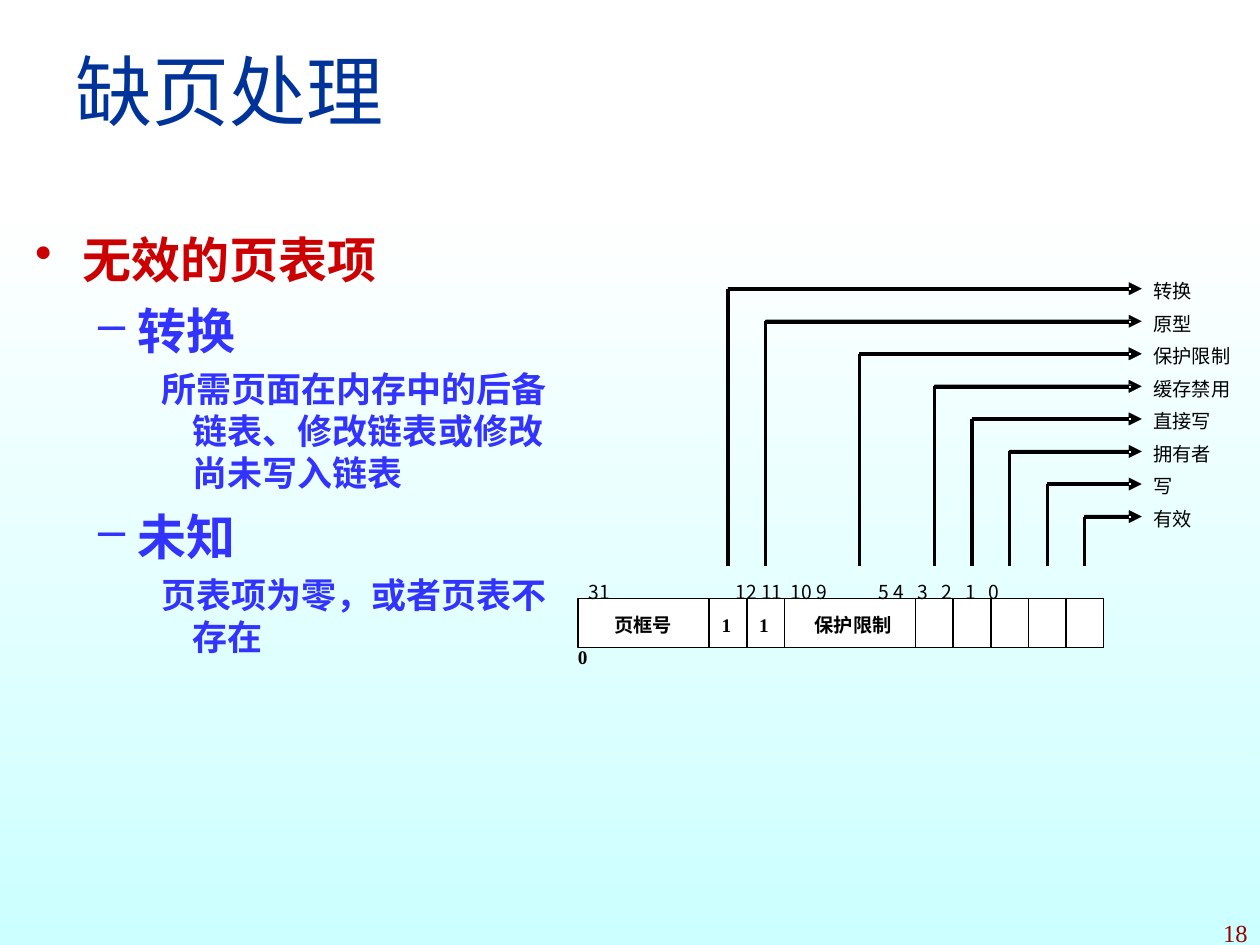
from itertools import accumulate

from lxml.etree import SubElement
from pptx import Presentation
from pptx.dml.color import RGBColor
from pptx.enum.shapes import MSO_CONNECTOR, MSO_SHAPE
from pptx.enum.text import PP_ALIGN
from pptx.oxml.ns import qn
from pptx.util import Pt

THEME = {
    "white": "FFFFFF", "tint": "CCFFFF", "ink": "000000",
    "title": "003399", "topic": "CC0000", "detail": "3333FF", "page": "990000",
    "sans": "Noto Sans CJK SC", "serif": "Times New Roman", "heading": "Arial",
    "title_size": 44, "topic_size": 28, "detail_size": 20, "page_size": 14, "label_size": 11,
}
TITLE = "缺页处理"
PAGE = "18"
OUTLINE = [
    (0, "无效的页表项"),
    (1, "转换"),
    (2, "所需页面在内存中的后备链表、修改链表或修改尚未写入链表"),
    (1, "未知"),
    (2, "页表项为零，或者页表不存在"),
]
LEVELS = [
    {"size": THEME["topic_size"], "color": THEME["topic"], "font": THEME["sans"],
     "indent": (27.3, -27.3), "before": 7, "bullet": "•"},
    {"size": THEME["topic_size"], "color": THEME["detail"], "font": THEME["sans"],
     "indent": (58.5, -22.5), "before": 7, "bullet": "–"},
    {"size": THEME["detail_size"], "color": THEME["detail"], "font": THEME["serif"],
     "indent": (90, -18), "before": 5, "bullet": None},
]
FIELDS = [("页框号", 3.5, 20.9), ("1", 1, 7.1), ("1", 1, 7.1),
          ("保护限制", 3.5, 17.3)] + [("", 1, 0)] * 5
FLAGS = [("转换", 4), ("原型", 5), ("保护限制", 7.5), ("缓存禁用", 9.5),
         ("直接写", 10.5), ("拥有者", 11.5), ("写", 12.5), ("有效", 13.5)]
BITS = [("12 11", 12.8), ("10 9", 44.4), ("5 4", 94.8),
        ("3", 117), ("2", 130.5), ("1", 144), ("0", 157.5)]

ENTRY_LEFT, ENTRY_TOP, ENTRY_HEIGHT, UNIT = 330.2, 342, 28, 21.45
FIELD_TEXT_TOP = 350.4
FLAG_TOP, FLAG_STEP, STEM_BOTTOM = 165, 18.6, 323.3
ARROW_TIP, LABEL_LEFT = 652.3, 659


def write(frame, text, *, size, color, font=THEME["sans"], bold=False, align=PP_ALIGN.LEFT,
          new=False, before=0, indent=None, bullet=None, tabs=()):
    """Write one formatted paragraph into a text frame."""
    paragraph = frame.add_paragraph() if new else frame.paragraphs[0]
    properties = paragraph._p.get_or_add_pPr()
    paragraph.alignment = align
    paragraph.space_before = Pt(before)
    if indent:
        properties.set("marL", str(Pt(indent[0])))
        properties.set("indent", str(Pt(indent[1])))
    if bullet:
        SubElement(properties, qn("a:buChar"), char=bullet)
    else:
        SubElement(properties, qn("a:buNone"))
    if tabs:
        stops = SubElement(properties, qn("a:tabLst"))
        for stop in tabs:
            SubElement(stops, qn("a:tab"), pos=str(Pt(stop)), algn="l")
    run = paragraph.add_run()
    run.text = text
    run.font.size, run.font.bold, run.font.name = Pt(size), bold, font
    run.font.color.rgb = RGBColor.from_string(color)
    SubElement(run._r.get_or_add_rPr(), qn("a:ea"), typeface=THEME["sans"])


def add_frame(slide, left, top, width, height, inset=(0, 0)):
    """Add an empty text box and return its text frame."""
    frame = slide.shapes.add_textbox(Pt(left), Pt(top), Pt(width), Pt(height)).text_frame
    frame.word_wrap = True
    frame.margin_left = frame.margin_right = Pt(inset[0])
    frame.margin_top = frame.margin_bottom = Pt(inset[1])
    return frame


def add_label(slide, text, left, top, width=None, **style):
    """Add one line of small diagram text."""
    frame = add_frame(slide, left, top, width or 12 * len(text), 13)
    write(frame, text, size=THEME["label_size"], color=THEME["ink"], **style)


def add_background(slide):
    """Add the white to cyan band."""
    band = slide.shapes.add_shape(MSO_SHAPE.RECTANGLE, Pt(0), Pt(111.6), Pt(720), Pt(428.4))
    band.shadow.inherit = False
    band.line.fill.background()
    band.fill.gradient()
    band.fill.gradient_angle = 270
    for stop, color, position in zip(band.fill.gradient_stops, ("white", "tint"), (0, 1)):
        stop.color.rgb = RGBColor.from_string(THEME[color])
        stop.position = position


def add_cell(slide, left, width):
    """Add one outlined box in the page table entry row."""
    cell = slide.shapes.add_shape(MSO_SHAPE.RECTANGLE, Pt(left), Pt(ENTRY_TOP),
                                  Pt(width), Pt(ENTRY_HEIGHT))
    cell.shadow.inherit = False
    cell.fill.solid()
    cell.fill.fore_color.rgb = RGBColor.from_string(THEME["white"])
    cell.line.color.rgb = RGBColor.from_string(THEME["ink"])
    cell.line.width = Pt(0.88)


def add_entry(slide):
    """Add the page table entry with its fields."""
    spans = [span for _, span, _ in FIELDS]
    add_cell(slide, ENTRY_LEFT, sum(spans) * UNIT)
    for (label, span, offset), start in zip(FIELDS, accumulate(spans, initial=0)):
        left = ENTRY_LEFT + start * UNIT
        if span == 1:
            add_cell(slide, left, UNIT)
        if label:
            add_label(slide, label, left + offset, FIELD_TEXT_TOP, bold=True,
                      font=THEME["serif"] if label.isdigit() else THEME["sans"])


def add_flag(slide, label, x, y):
    """Add a stem, its arrow and the flag name."""
    stem = slide.shapes.add_connector(MSO_CONNECTOR.STRAIGHT, Pt(x), Pt(STEM_BOTTOM), Pt(x), Pt(y))
    stem.line.width = Pt(1.75)
    stem.line.color.rgb = RGBColor.from_string(THEME["ink"])
    SubElement(stem._element.spPr, qn("a:effectLst"))

    neck, barb = ARROW_TIP - 5.8, ARROW_TIP - 7.2
    shaft = [(x, y - 0.9), (neck, y - 0.9), (neck, y + 0.9), (x, y + 0.9)]
    head = [(barb, y - 3.6), (ARROW_TIP, y), (barb, y + 3.6)]
    shaft, head = ([(Pt(a), Pt(b)) for a, b in part] for part in (shaft, head))
    builder = slide.shapes.build_freeform(*shaft[0], scale=1.0)
    builder.add_line_segments(shaft[1:], close=True)
    builder.move_to(*head[0])
    builder.add_line_segments(head[1:], close=True)
    arrow = builder.convert_to_shape()
    arrow.shadow.inherit = False
    arrow.fill.solid()
    arrow.fill.fore_color.rgb = arrow.line.color.rgb = RGBColor.from_string(THEME["ink"])
    arrow.line.width = Pt(0.11)
    add_label(slide, label, LABEL_LEFT, y - 5.4)


def main():
    """Build the page fault slide."""
    deck = Presentation()
    deck.slide_width, deck.slide_height = Pt(720), Pt(540)
    slide = deck.slides.add_slide(deck.slide_layouts[6])
    add_background(slide)

    write(add_frame(slide, 516, 521.3, 204, 18.7, (7.2, 3.6)), PAGE, size=THEME["page_size"],
          color=THEME["page"], font=THEME["serif"], align=PP_ALIGN.RIGHT)
    write(add_frame(slide, 36, 21.6, 648, 90, (7.2, 3.6)), TITLE, size=THEME["title_size"],
          color=THEME["title"], font=THEME["heading"])

    outline = add_frame(slide, 13, 127.4, 318.2, 356.4, (7.2, 3.6))
    for index, (level, text) in enumerate(OUTLINE):
        style = dict(LEVELS[level])
        if index == 0:
            style["before"] = 0
        write(outline, text, new=index > 0, bold=True, **style)

    add_entry(slide)
    for row, (label, column) in enumerate(FLAGS):
        add_flag(slide, label, ENTRY_LEFT + column * UNIT, FLAG_TOP + row * FLAG_STEP)

    add_label(slide, "31", 336.2, 331.4)
    add_label(slide, "".join(f"\t{bits}" for bits, _ in BITS), 407.5, 331.4, 180,
              tabs=[stop for _, stop in BITS])
    add_label(slide, "0", ENTRY_LEFT, 368.6, bold=True, font=THEME["serif"])
    deck.save("out.pptx")


if __name__ == "__main__":
    main()
